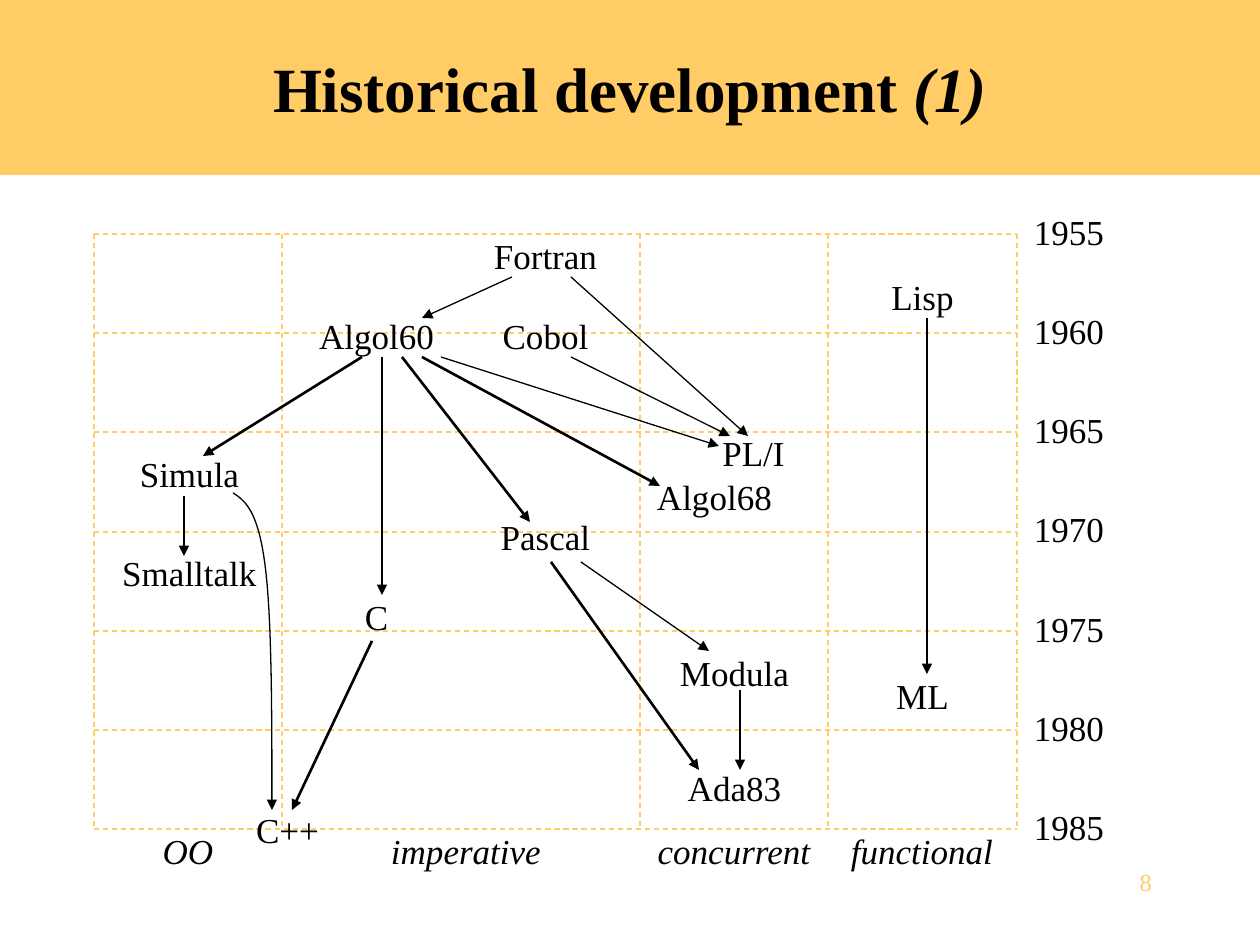
from lxml.etree import SubElement
from pptx import Presentation
from pptx.dml.color import RGBColor
from pptx.enum.dml import MSO_LINE
from pptx.enum.shapes import MSO_CONNECTOR
from pptx.enum.text import MSO_ANCHOR, PP_ALIGN
from pptx.oxml.ns import qn
from pptx.util import Inches, Pt

PX = 7257  # EMU in one px, 126 px to the inch
GOLD, BLACK = "FFCC66", "000000"


def write(frame, runs, align, hue=BLACK, pad=(0, 0), **form):
    """Fill a text frame with (words, italic) runs in one format."""
    frame.word_wrap = True
    frame.margin_left = frame.margin_right = pad[0] * PX
    frame.margin_top = frame.margin_bottom = pad[1] * PX
    para = frame.paragraphs[0]
    para.alignment = align
    for words, slant in runs:
        run = para.add_run()
        run.text = words
        look = {"name": "Times New Roman", "size": Pt(20), "bold": False, "italic": slant}
        for key, value in (look | form).items():
            setattr(run.font, key, value)
        run.font.color.rgb = RGBColor.from_string(hue)


def stroke(shape, hue, width, arrow):
    """Style a line: black with an arrowhead, or dashed without one."""
    shape.line.color.rgb = RGBColor.from_string(hue)
    shape.line.width = Pt(width)
    props = shape._element.spPr
    if arrow:
        SubElement(props.find(qn("a:ln")), qn("a:tailEnd"), type="triangle")
    else:
        shape.line.dash_style = MSO_LINE.DASH
    SubElement(props, qn("a:effectLst"))


deck = Presentation()
deck.slide_width, deck.slide_height = Inches(10), Inches(7.5)
slide = deck.slides.add_slide(deck.slide_layouts[5])
shapes = slide.shapes

# Title band
title = shapes.title
title.left, title.top = 0, 0
title.width, title.height = deck.slide_width, 175 * PX
title.fill.solid()
title.fill.fore_color.rgb = RGBColor.from_string(GOLD)
title.text_frame.vertical_anchor = MSO_ANCHOR.MIDDLE
write(title.text_frame, [("Historical development ", False), ("(1)", True)],
      PP_ALIGN.CENTER, pad=(13, 6), size=Pt(36), bold=True)

# Time grid
cols = [94, 282, 640, 828, 1017]
rows = [234 + round(595 * i / 6) for i in range(7)]
lines = [(cols[0], y, cols[-1], y, GOLD, 0.75) for y in rows]
lines += [(x, rows[0], x, rows[-1], GOLD, 0.75) for x in cols]

# Influences between languages
thin = [
    (512, 277, 422, 318),   # Fortran to Algol60
    (571, 277, 748, 436),   # Fortran to PL/I
    (571, 357, 730, 436),   # Cobol to PL/I
    (441, 357, 719, 446),   # Algol60 to PL/I
    (184, 496, 184, 556),   # Simula to Smalltalk
    (927, 318, 927, 674),   # Lisp to ML
    (581, 562, 709, 651),   # Pascal to Modula
    (740, 690, 740, 770),   # Modula to Ada83
]
thick = [
    (362, 357, 203, 456),   # Algol60 to Simula
    (382, 357, 382, 595),   # Algol60 to C
    (402, 357, 530, 522),   # Algol60 to Pascal
    (422, 357, 660, 486),   # Algol60 to Algol68
    (372, 641, 292, 810),   # C to C++
    (551, 562, 699, 770),   # Pascal to Ada83
]
lines += [(*ends, BLACK, 0.75) for ends in thin]
lines += [(*ends, BLACK, 1.5) for ends in thick]
for *ends, hue, width in lines:
    link = shapes.add_connector(MSO_CONNECTOR.STRAIGHT, *(n * PX for n in ends))
    stroke(link, hue, width, hue == BLACK)

# Curved arrow from Simula to C++, as two cubic arcs
arcs = [
    [(233, 493), (246, 501), (258, 512), (265, 564)],
    [(265, 564), (272, 617), (272, 713), (272, 810)],
]
steps = 16
dots = []
for arc in arcs:
    for i in range(1, steps + 1):
        t = i / steps
        parts = ((1 - t) ** 3, 3 * t * (1 - t) ** 2, 3 * t * t * (1 - t), t ** 3)
        dots.append(tuple(PX * sum(w * n for w, n in zip(parts, axis))
                          for axis in zip(*arc)))
pen = shapes.build_freeform(*(n * PX for n in arcs[0][0]))
pen.add_line_segments(dots, close=False)
curve = pen.convert_to_shape()
curve.fill.background()
stroke(curve, BLACK, 0.75, True)

# Labels: words, box, align, italic, padding
names = [
    ("Fortran", 471, 234), ("Cobol", 471, 314), ("Algol60", 302, 314),
    ("Lisp", 848, 275), ("Simula", 115, 452), ("Smalltalk", 115, 552),
    ("ML", 848, 674), ("Pascal", 471, 515), ("PL/I", 679, 432),
    ("C", 302, 595), ("Modula", 660, 651), ("Algol68", 640, 476),
    ("C++", 213, 808), ("Ada83", 660, 767),
]
kinds = [("OO", 94), ("imperative", 372), ("concurrent", 640), ("functional", 828)]
mid, right = PP_ALIGN.CENTER, PP_ALIGN.RIGHT
labels = [(word, (x, y, 149, 42), mid, False, (0, 0)) for word, x, y in names]
labels += [(word, (x, 830, 188, 42), mid, True, (0, 0)) for word, x in kinds]
labels += [(str(1955 + 5 * i), (1017, y - 30, 100, 55), right, False, (13, 6))
           for i, y in enumerate(rows)]
for word, box, align, slant, pad in labels:
    label = shapes.add_textbox(*(n * PX for n in box))
    write(label.text_frame, [(word, slant)], align, pad=pad)

# Page number
page = shapes.add_textbox(*(n * PX for n in (903, 861, 262, 63)))
write(page.text_frame, [("8", False)], right, GOLD, (13, 6), size=Pt(14))

deck.save("out.pptx")
